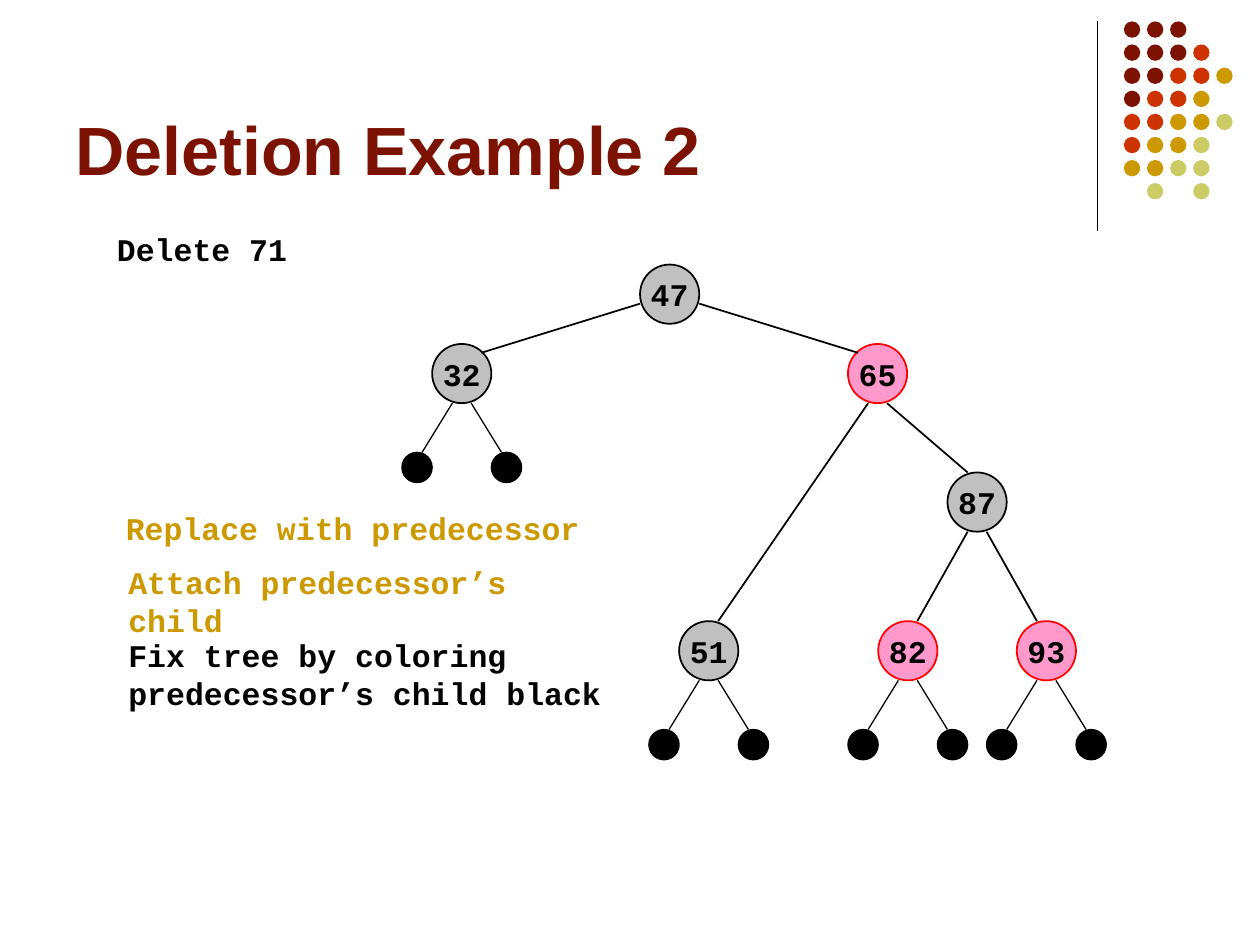
"""Build the slide on deleting 71 from a red-black tree."""
from dataclasses import dataclass
from typing import Optional

import pptx
import pptx.dml.color
import pptx.enum.shapes
import pptx.enum.text
import pptx.oxml.ns
import pptx.util
from lxml import etree

Inches = pptx.util.Inches
Pt = pptx.util.Pt
RGBColor = pptx.dml.color.RGBColor
Anchor = pptx.enum.text.MSO_ANCHOR
Align = pptx.enum.text.PP_ALIGN
OVAL = pptx.enum.shapes.MSO_SHAPE.OVAL
STRAIGHT = pptx.enum.shapes.MSO_CONNECTOR.STRAIGHT

BLACK = RGBColor(0x00, 0x00, 0x00)
GRAY = RGBColor(0xC0, 0xC0, 0xC0)
PINK = RGBColor(0xFF, 0x99, 0xCC)
RED = RGBColor(0xFF, 0x00, 0x00)
MAROON = RGBColor(0x7C, 0x13, 0x02)
RUST = RGBColor(0xCC, 0x33, 0x00)
GOLD = RGBColor(0xCC, 0x99, 0x00)
OLIVE = RGBColor(0xCC, 0xCC, 0x66)

CODE = {"name": "Courier New", "size": Pt(18), "bold": True}
HEAD = {"name": "Arial", "size": Pt(39), "bold": True}
TIGHT = {"margin_left": 0, "margin_right": 0, "margin_top": 0,
         "margin_bottom": 0, "word_wrap": False, "vertical_anchor": Anchor.MIDDLE}
LOOSE = {"word_wrap": True, "vertical_anchor": Anchor.TOP}
BASE = {"word_wrap": True, "vertical_anchor": Anchor.BOTTOM}

SIZE = 0.47
LEAF = 0.24
DROP = 0.39
NEAR, FAR = 0.16, 0.31
PITCH = 0.55 / 3
TINTS = {"m": MAROON, "r": RUST, "g": GOLD, "o": OLIVE}
DOTS = ["mmm", "mmmr", "mmrrg", "mrrg", "rrggo", "rggo", "ggoo", " o o"]


@dataclass
class Node:
    key: str
    x: float
    y: float
    red: bool = False
    leaves: bool = False


@dataclass
class Edge:
    top: str
    low: str
    right: bool


@dataclass
class Note:
    text: str
    x: float
    y: float
    wide: float
    high: float
    hue: RGBColor = BLACK
    font: Optional[dict] = None
    frame: Optional[dict] = None


NODES = [
    Node("47", 5.08, 2.1),
    Node("32", 3.43, 2.73, leaves=True),
    Node("65", 6.73, 2.73, red=True),
    Node("87", 7.52, 3.75),
    Node("51", 5.39, 4.93, leaves=True),
    Node("82", 6.97, 4.93, red=True, leaves=True),
    Node("93", 8.07, 4.93, red=True, leaves=True),
]
EDGES = [
    Edge("47", "32", False), Edge("47", "65", True),
    Edge("65", "51", False), Edge("65", "87", True),
    Edge("87", "82", False), Edge("87", "93", True),
]
NOTES = [
    Note("Deletion Example 2", 0.5, 0.13, 8.25, 1.42, MAROON, HEAD, BASE),
    Note("Delete 71", 0.83, 1.78, 2.6, 0.4),
    Note("Replace with predecessor", 0.9, 3.99, 4.1, 0.4, GOLD),
    Note("Attach predecessor’s child", 0.92, 4.42, 4.08, 0.7, GOLD),
    Note("Fix tree by coloring predecessor’s child black", 0.92, 5, 4.08, 0.7),
]


def apply(thing, values: dict) -> None:
    for name, value in values.items():
        setattr(thing, name, value)


def write(frame, text: str, hue: RGBColor, font: dict, form: dict) -> None:
    apply(frame, form)
    run = frame.paragraphs[0].add_run()
    run.text = text
    apply(run.font, font)
    run.font.color.rgb = hue


def draw_line(shapes, x1: float, y1: float, x2: float, y2: float, width: float) -> None:
    line = shapes.add_connector(STRAIGHT, Inches(x1), Inches(y1), Inches(x2), Inches(y2))
    line.line.color.rgb = BLACK
    line.line.width = Pt(width)
    etree.SubElement(line._element.spPr, pptx.oxml.ns.qn("a:effectLst"))


def draw_disc(shapes, x: float, y: float, size: float, fill: RGBColor,
              rim: Optional[RGBColor] = None, width: float = 0.75):
    disc = shapes.add_shape(OVAL, Inches(x), Inches(y), Inches(size), Inches(size))
    disc.shadow.inherit = False
    disc.fill.solid()
    disc.fill.fore_color.rgb = fill
    if rim is None:
        disc.line.fill.background()
    else:
        disc.line.color.rgb = rim
        disc.line.width = Pt(width)
    return disc


def draw_edge(shapes, top: Node, low: Node, right: bool) -> None:
    if top.key == "47":
        start = (top.x + SIZE * right, top.y + FAR)
        end = (low.x + (0.08 if right else 0.39), low.y + 0.07)
    else:
        start = (top.x + (FAR if right else NEAR), top.y + SIZE)
        end = (low.x + (NEAR if right else FAR), low.y)
    draw_line(shapes, *start, *end, 1)


def draw_node(shapes, node: Node) -> None:
    fill, rim = (PINK, RED) if node.red else (GRAY, BLACK)
    disc = draw_disc(shapes, node.x, node.y, SIZE, fill, rim, 1)
    write(disc.text_frame, node.key, BLACK, CODE, TIGHT)
    disc.text_frame.paragraphs[0].alignment = Align.CENTER
    if node.leaves:
        foot = node.y + SIZE
        for start, end, left in ((NEAR, -0.08, -LEAF), (FAR, SIZE + 0.08, SIZE)):
            draw_line(shapes, node.x + start, foot, node.x + end, foot + DROP, 0.75)
            draw_disc(shapes, node.x + left, foot + DROP, LEAF, BLACK, BLACK)


def draw_note(shapes, note: Note) -> None:
    box = shapes.add_textbox(Inches(note.x), Inches(note.y),
                             Inches(note.wide), Inches(note.high))
    write(box.text_frame, note.text, note.hue, note.font or CODE, note.frame or LOOSE)


def main() -> None:
    deck = pptx.Presentation()
    apply(deck, {"slide_width": Inches(10), "slide_height": Inches(7.5)})
    shapes = deck.slides.add_slide(deck.slide_layouts[6]).shapes
    draw_line(shapes, 8.71, 0.17, 8.71, 1.83, 0.75)
    for row, marks in enumerate(DOTS):
        for col, mark in enumerate(marks):
            if mark in TINTS:
                draw_disc(shapes, 8.92 + col * PITCH, 0.17 + row * PITCH, 0.13, TINTS[mark])
    tree = {node.key: node for node in NODES}
    for node in NODES:
        draw_node(shapes, node)
    for edge in EDGES:
        draw_edge(shapes, tree[edge.top], tree[edge.low], edge.right)
    for note in NOTES:
        draw_note(shapes, note)
    deck.save("out.pptx")


if __name__ == "__main__":
    main()
